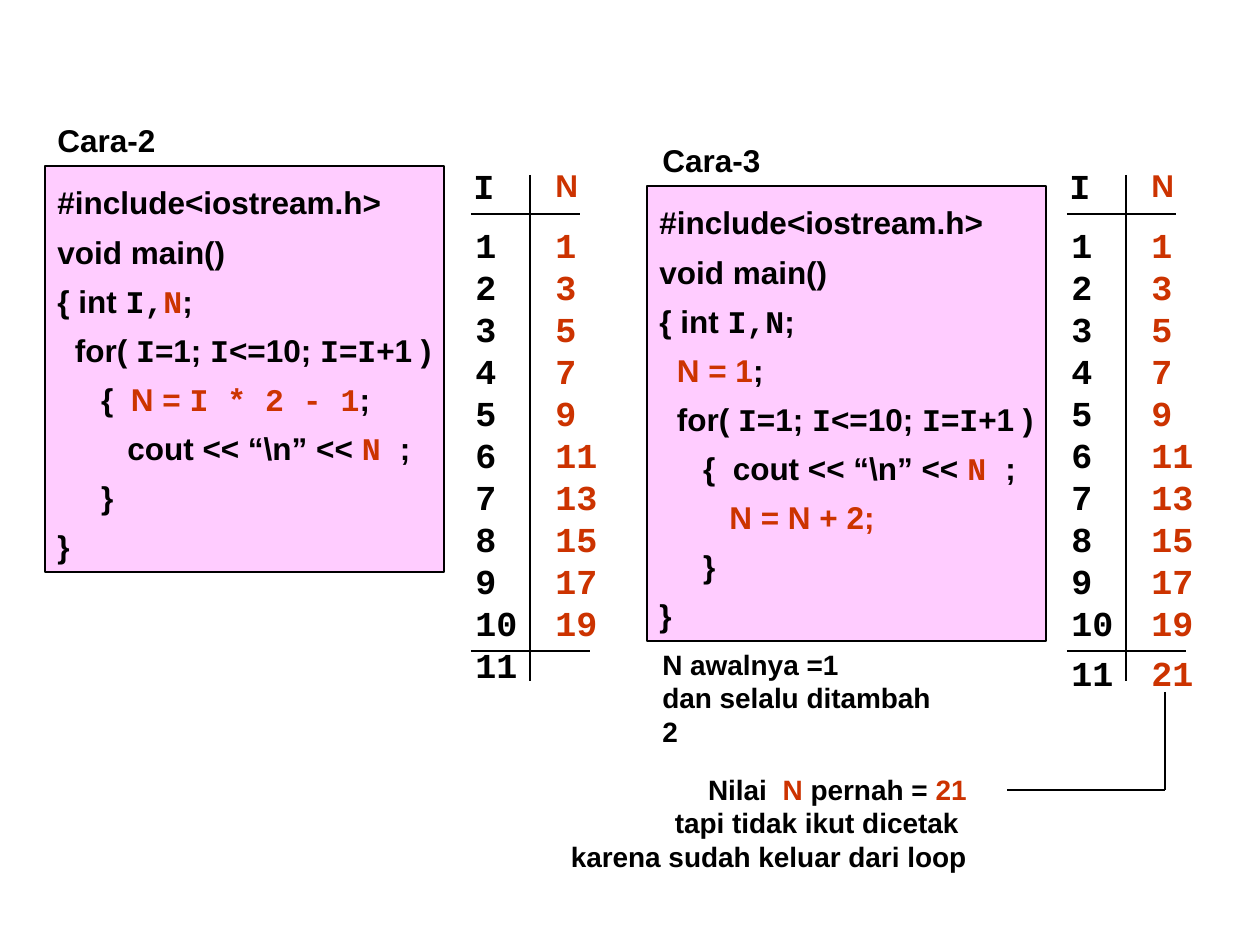
import pptx
import pptx.util
import pptx.dml.color
import pptx.enum.shapes
import pptx.enum.text
import pptx.oxml
import pptx.oxml.ns
from dataclasses import dataclass

PX = 914400 // 126
LEFT = pptx.enum.text.PP_ALIGN.LEFT
RIGHT = pptx.enum.text.PP_ALIGN.RIGHT


@dataclass(frozen=True)
class Theme:
    ink: str = "000000"
    red: str = "CC3300"
    pink: str = "FFCCFF"
    sans: str = "Arial"
    mono: str = "Courier New"
    code: int = 18
    cell: int = 20
    note: int = 16
    line: float = 0.75
    space: int = 5  # points taken by one space of code indent


THEME = Theme()

# A line is (indent in spaces, runs); a run is (text, flags): m = mono, r = red.
LOOP = (2, [("for( ", ""), ("I", "m"), ("=1; ", ""), ("I", "m"), ("<=10; ", ""),
            ("I", "m"), ("=", ""), ("I", "m"), ("+1 )", "")])
HEAD = [(0, [("#include<iostream.h>", "")]), (0, [("void main()", "")])]
TAIL = [(5, [("}", "")]), (0, [("}", "")])]
SHOW = [("cout << “\\n” << ", ""), ("N ", "mr"), (";", "")]

CODE_2 = HEAD + [
    (0, [("{ int ", ""), ("I,", "m"), ("N", "mr"), (";", "")]),
    LOOP,
    (5, [("{  ", ""), ("N = ", "r"), ("I * 2 - 1", "mr"), (";", "")]),
    (8, SHOW),
] + TAIL

CODE_3 = HEAD + [
    (0, [("{ int ", ""), ("I,N", "m"), (";", "")]),
    (2, [("N = 1", "r"), (";", "")]),
    LOOP,
    (5, [("{  ", "")] + SHOW),
    (8, [("N = N + 2;", "r")]),
] + TAIL

NOTE_1 = [(0, [("N awalnya =1", "")]), (0, [("dan selalu ditambah 2", "")])]
NOTE_2 = [
    (0, [("Nilai  ", ""), ("N", "r"), (" pernah = ", ""), ("21", "r")]),
    (0, [("tapi tidak ikut dicetak ", "")]),
    (0, [("karena sudah keluar dari loop", "")]),
]


def color(name):
    return pptx.dml.color.RGBColor.from_string(name)


def plain(text, flags=""):
    return [(0, [(text, flags)])]


def column(nums, flags):
    return [(0, [(str(num), flags)]) for num in nums]


def write(shape, lines, size=THEME.code, align=LEFT, space=None, last=None):
    """Fill a shape with lines; last is the line spacing of the final one."""
    frame = shape.text_frame
    frame.word_wrap = False
    frame.auto_size = pptx.enum.text.MSO_AUTO_SIZE.SHAPE_TO_FIT_TEXT
    frame.vertical_anchor = pptx.enum.text.MSO_ANCHOR.TOP
    for row, (indent, runs) in enumerate(lines):
        para = frame.add_paragraph() if row else frame.paragraphs[0]
        para.alignment = align
        if space:
            para.line_spacing = space
        if indent:
            margin = pptx.util.Pt(indent * THEME.space)
            para._p.get_or_add_pPr().set("marL", str(margin))
        for text, flags in runs:
            run = para.add_run()
            run.text = text
            run.font.size = pptx.util.Pt(size)
            run.font.bold = True
            run.font.name = THEME.mono if "m" in flags else THEME.sans
            run.font.color.rgb = color(THEME.red if "r" in flags else THEME.ink)
    if last:
        para.line_spacing = last


def label(slide, box, lines, **style):
    write(slide.shapes.add_textbox(*(n * PX for n in box)), lines, **style)


def panel(slide, box, lines):
    kind = pptx.enum.shapes.MSO_SHAPE.RECTANGLE
    shape = slide.shapes.add_shape(kind, *(n * PX for n in box))
    shape.shadow.inherit = False
    shape.fill.solid()
    shape.fill.fore_color.rgb = color(THEME.pink)
    shape.line.color.rgb = color(THEME.ink)
    shape.line.width = pptx.util.Pt(THEME.line)
    write(shape, lines, space=1.3)


def rule(slide, *ends):
    kind = pptx.enum.shapes.MSO_CONNECTOR.STRAIGHT
    line = slide.shapes.add_connector(kind, *(n * PX for n in ends))
    line.line.color.rgb = color(THEME.ink)
    line.line.width = pptx.util.Pt(THEME.line)
    tag = pptx.oxml.ns.qn("a:effectLst")
    line._element.spPr.append(pptx.oxml.parse_xml(
        '<a:effectLst %s/>' % pptx.oxml.ns.nsdecls("a")) if tag else None)


def trace(slide, left, odds, last=None):
    """Draw the table of I and N values for one loop."""
    right = left + 72
    rule(slide, left, 214, left + 109, 214)
    rule(slide, left, 651, left + 119, 651)
    rule(slide, left + 59, 175, left + 59, 681)
    label(slide, (left - 10, 158, 45, 55), plain("I", "m"), size=THEME.cell)
    label(slide, (right, 160, 48, 50), plain("N", "r"))
    label(slide, (left - 8, 217, 67, 480), column(range(1, 12), "m"),
          size=THEME.cell, last=last)
    label(slide, (right, 217, 67, 42 * len(odds) + 13), column(odds, "mr"),
          size=THEME.cell, last=last)


def main():
    deck = pptx.Presentation()
    deck.slide_width, deck.slide_height = 1260 * PX, 945 * PX
    slide = deck.slides.add_slide(deck.slide_layouts[6])

    panel(slide, (45, 166, 399, 406), CODE_2)
    label(slide, (45, 115, 123, 50), plain("Cara-2"))
    trace(slide, 471, range(1, 20, 2))

    panel(slide, (647, 186, 399, 455), CODE_3)
    label(slide, (650, 135, 123, 50), plain("Cara-3"))
    trace(slide, 1067, range(1, 22, 2), last=1.2)

    label(slide, (650, 641, 316, 81), NOTE_1, size=THEME.note)
    label(slide, (558, 766, 421, 113), NOTE_2, size=THEME.note, align=RIGHT)
    rule(slide, 1165, 692, 1165, 790)
    rule(slide, 1165, 790, 1007, 790)
    deck.save("out.pptx")


if __name__ == "__main__":
    main()
